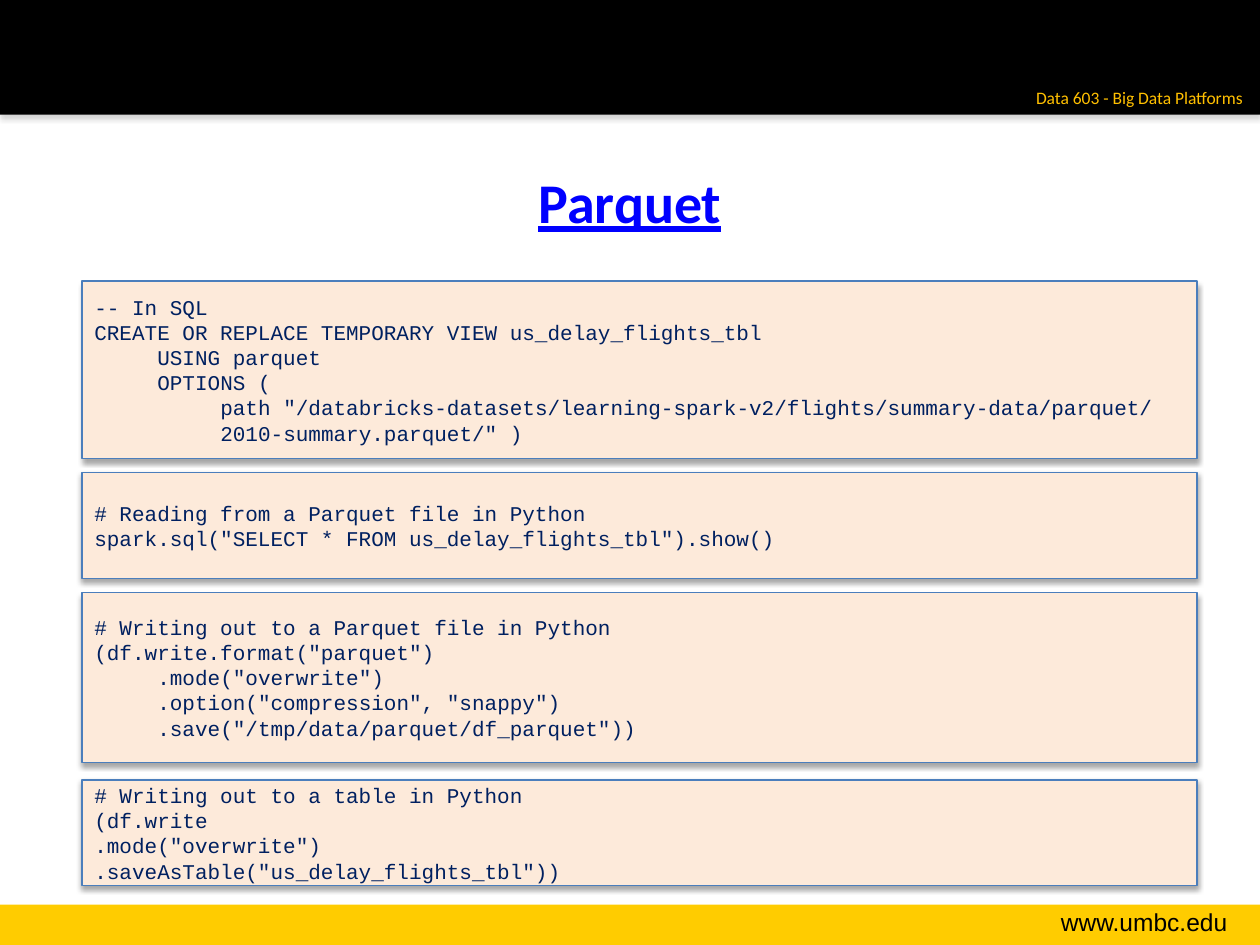
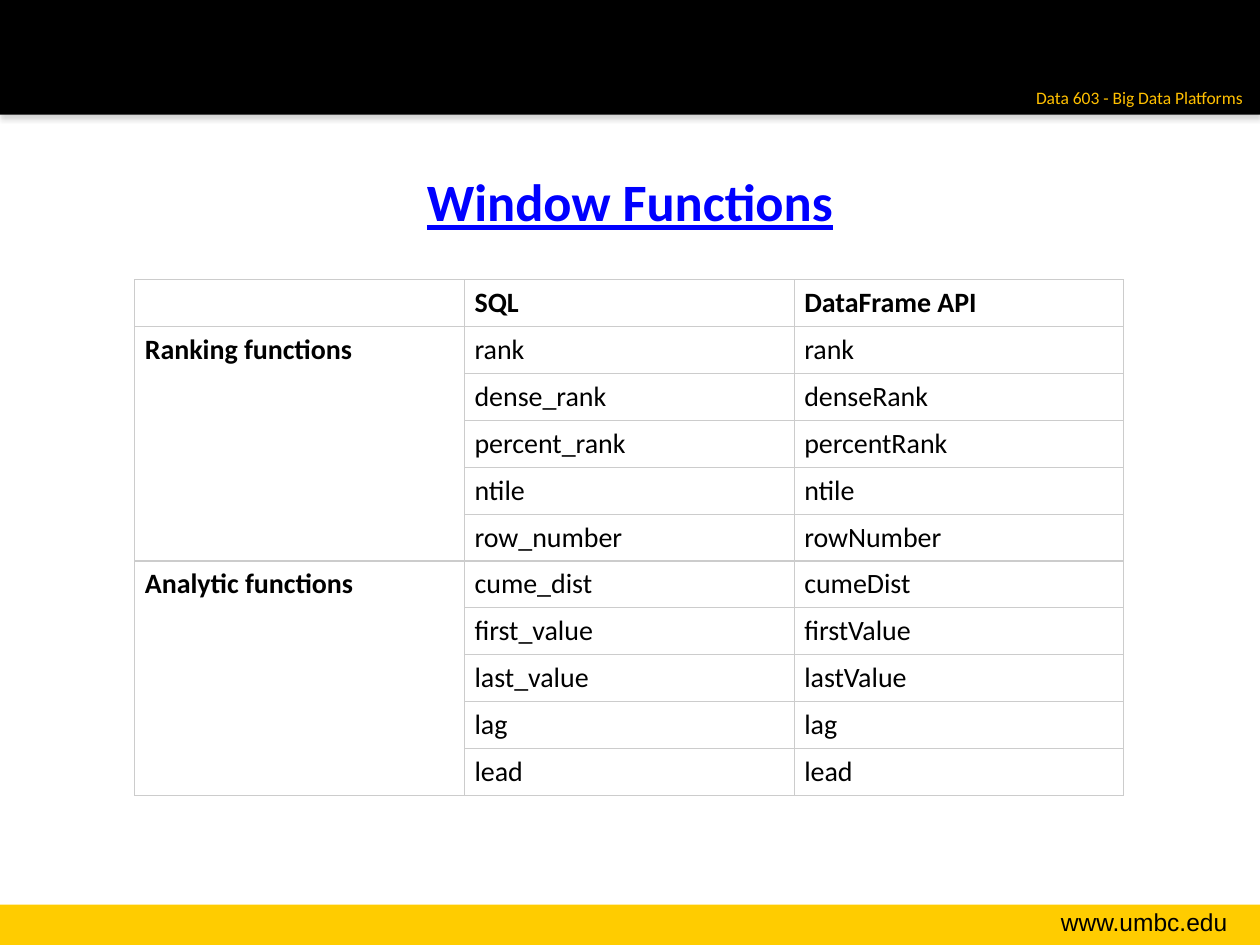
from lxml import etree
from pptx import Presentation
from pptx.dml.color import RGBColor
from pptx.enum.shapes import MSO_SHAPE
from pptx.enum.text import MSO_ANCHOR, MSO_AUTO_SIZE, PP_ALIGN
from pptx.oxml.ns import qn
from pptx.util import Inches, Pt

RECT = MSO_SHAPE.RECTANGLE
MIDDLE = MSO_ANCHOR.MIDDLE
GROW = MSO_AUTO_SIZE.SHAPE_TO_FIT_TEXT
LEFT, CENTER, RIGHT = PP_ALIGN.LEFT, PP_ALIGN.CENTER, PP_ALIGN.RIGHT

HUES = {
    "gold": "FFCC00", "black": "000000", "amber": "FFC000", "blue": "0000FF",
    "peach": "FDEADA", "edge": "4B7EBC", "navy": "002060", "white": "FFFFFF",
    "grid": "CCCCCC", "gray": "808080",
}
WIDE, HIGH = 10, 7.5
STEP = 0.5  # one indent of code

SITE = "www.umbc.edu"
COURSE = "Data 603 - Big Data Platforms"

# Top, height, and lines of each code box; a pair is (level, line).
CODE = [
    (2.23, 1.41, [
        "-- In SQL",
        "CREATE OR REPLACE TEMPORARY VIEW us_delay_flights_tbl",
        "\tUSING parquet",
        "\tOPTIONS (",
        "\t\tpath \"/databricks-datasets/learning-spark-v2/flights/summary-data/parquet/",
        "\t\t2010-summary.parquet/\" )",
    ]),
    (3.75, 0.84, [
        "# Reading from a Parquet file in Python",
        "spark.sql(\"SELECT * FROM us_delay_flights_tbl\").show()",
    ]),
    (4.7, 1.35, [
        "# Writing out to a Parquet file in Python",
        "(df.write.format(\"parquet\")",
        (1, ".mode(\"overwrite\")"),
        (1, ".option(\"compression\", \"snappy\")"),
        (1, ".save(\"/tmp/data/parquet/df_parquet\"))"),
    ]),
    (6.19, 0.84, [
        "# Writing out to a table in Python",
        "(df.write",
        ".mode(\"overwrite\")",
        ".saveAsTable(\"us_delay_flights_tbl\"))",
    ]),
]

HEADS = ["", "SQL", "DataFrame API"]
GROUPS = {
    "Ranking functions": [
        ("rank", "rank"),
        ("dense_rank", "denseRank"),
        ("percent_rank", "percentRank"),
        ("ntile", "ntile"),
        ("row_number", "rowNumber"),
    ],
    "Analytic functions": [
        ("cume_dist", "cumeDist"),
        ("first_value", "firstValue"),
        ("last_value", "lastValue"),
        ("lag", "lag"),
        ("lead", "lead"),
    ],
}


def hue(name):
    return RGBColor.from_string(HUES[name])


def box(*sizes):
    return [Inches(size) for size in sizes]


def style(para, size, face, color, bold=False, line=False, align=LEFT):
    para.alignment = align
    for run in para.runs:
        font = run.font
        font.size, font.name = Pt(size), face
        font.bold, font.underline = bold, line
        font.color.rgb = hue(color)


def add_rect(shapes, place, fill, edge=None, shade=None):
    rect = shapes.add_shape(RECT, *box(*place))
    rect.fill.solid()
    rect.fill.fore_color.rgb = hue(fill)
    if edge:
        rect.line.color.rgb = hue(edge)
        rect.line.width = Pt(0.75)
    else:
        rect.line.fill.background()
    rect.shadow.inherit = False
    if shade:
        effects = rect.element.spPr.find(qn("a:effectLst"))
        outer = etree.SubElement(
            effects, qn("a:outerShdw"), blurRad=str(Pt(3.1)),
            dist=str(Pt(1.8)), dir="5400000", rotWithShape="0")
        color = etree.SubElement(outer, qn("a:srgbClr"), val=HUES[shade])
        etree.SubElement(color, qn("a:alpha"), val="35000")
    return rect


def add_label(shapes, place, text, size, face, color, wrap):
    label = shapes.add_textbox(*box(*place))
    frame = label.text_frame
    frame.text = text
    frame.word_wrap = wrap
    frame.auto_size = GROW
    style(frame.paragraphs[0], size, face, color, align=RIGHT)
    return label


def dress(layout, shapes):
    """Make the shared bands and labels and move them to the layout."""
    parts = [
        add_rect(shapes, (0, HIGH - 0.32, WIDE, 0.32), "gold"),
        add_rect(shapes, (0, 0, WIDE, 0.91), "black", shade="gray"),
        add_label(shapes, (7.85, 7.15, 1.99, 0.34), SITE, 14, "Arial", "black", True),
        add_label(shapes, (8.09, 0.64, 1.87, 0.27), COURSE, 10, "Calibri", "amber", False),
    ]
    for num, part in enumerate(parts, 20):
        part.element.nvSpPr.cNvPr.set("id", str(num))
        layout.shapes.element.append(part.element)
    title = layout.placeholders[0]
    title.left, title.top, title.width, title.height = box(0.5, 0.97, 9, 1.25)


def add_slide(deck, layout, title, size):
    slide = deck.slides.add_slide(layout)
    frame = slide.shapes.title.text_frame
    frame.text = title
    frame.vertical_anchor = MIDDLE
    style(frame.paragraphs[0], size, "Calibri", "blue", True, True, CENTER)
    return slide


def indent(para, level):
    """Set the margin of a level, and the tab stops of tabbed code."""
    para.level = level
    props = para._p.get_or_add_pPr()
    props.set("marL", str(Inches(STEP * level)))
    props.set("indent", "0")
    if "\t" in para.text:
        tabs = etree.SubElement(props, qn("a:tabLst"))
        for stop in (1, 2):
            etree.SubElement(tabs, qn("a:tab"), pos=str(Inches(STEP * stop)), algn="l")


def add_code(shapes, top, height, lines):
    rect = add_rect(shapes, (0.65, top, 8.85, height), "peach", "edge", "black")
    frame = rect.text_frame
    frame.word_wrap = True
    frame.vertical_anchor = MIDDLE
    for i, line in enumerate(lines):
        level, text = line if isinstance(line, tuple) else (0, line)
        para = frame.add_paragraph() if i else frame.paragraphs[0]
        para.text = text
        indent(para, level)
        style(para, 12, "Courier New", "navy")


def fill_cell(cell, text, bold):
    cell.margin_left = cell.margin_right = Inches(0.08)
    cell.margin_top = cell.margin_bottom = Inches(0.05)
    para = cell.text_frame.paragraphs[0]
    if text:
        para.text = text
        style(para, 16, "Calibri", "black", bold)
    else:
        etree.SubElement(para._p, qn("a:endParaRPr"), sz="1600")
    props = cell._tc.get_or_add_tcPr()
    for side in "LRTB":
        line = etree.SubElement(props, qn("a:ln" + side), w=str(Pt(0.75)))
        solid = etree.SubElement(line, qn("a:solidFill"))
        etree.SubElement(solid, qn("a:srgbClr"), val=HUES["grid"])
    cell.fill.solid()
    cell.fill.fore_color.rgb = hue("white")


def add_grid(shapes):
    rows, spans = [HEADS], []
    for group, pairs in GROUPS.items():
        spans.append((len(rows), len(rows) + len(pairs) - 1))
        for i, pair in enumerate(pairs):
            rows.append(["" if i else group, *pair])
    place = box(1.07, 2.22, 7.85, 4.02)
    table = shapes.add_table(len(rows), len(HEADS), *place).table
    table.first_row = table.horz_banding = False
    for r, row in enumerate(rows):
        for c, text in enumerate(row):
            fill_cell(table.cell(r, c), text, r == 0 or c == 0)
    for first, last in spans:
        table.cell(first, 0).merge(table.cell(last, 0))


def main():
    deck = Presentation()
    deck.slide_width, deck.slide_height = box(WIDE, HIGH)
    layout = deck.slide_layouts[5]

    parquet = add_slide(deck, layout, "Parquet", 32)
    dress(layout, parquet.shapes)
    for top, height, lines in CODE:
        add_code(parquet.shapes, top, height, lines)

    window = add_slide(deck, layout, "Window Functions", 30)
    add_grid(window.shapes)
    deck.save("out.pptx")


if __name__ == "__main__":
    main()
